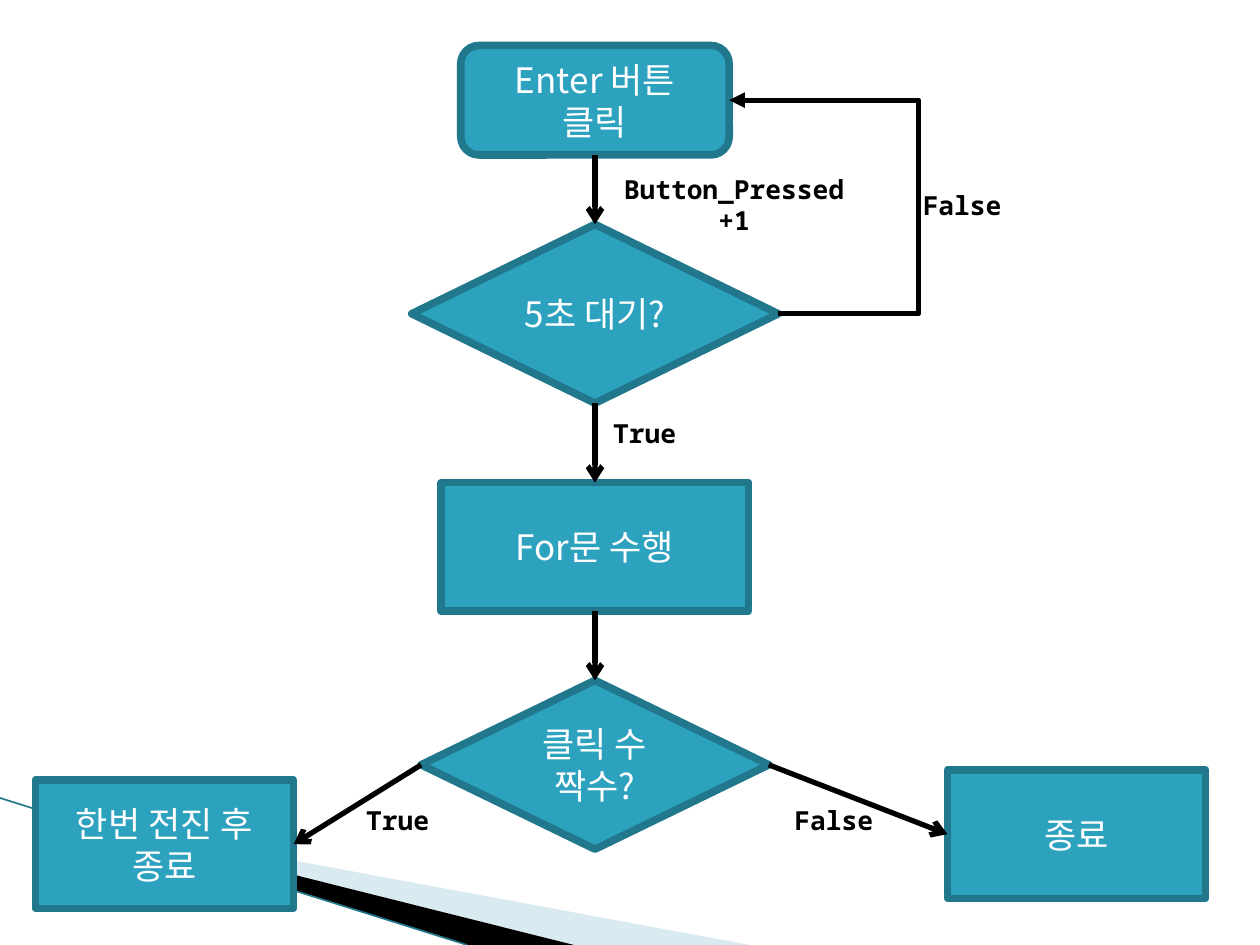
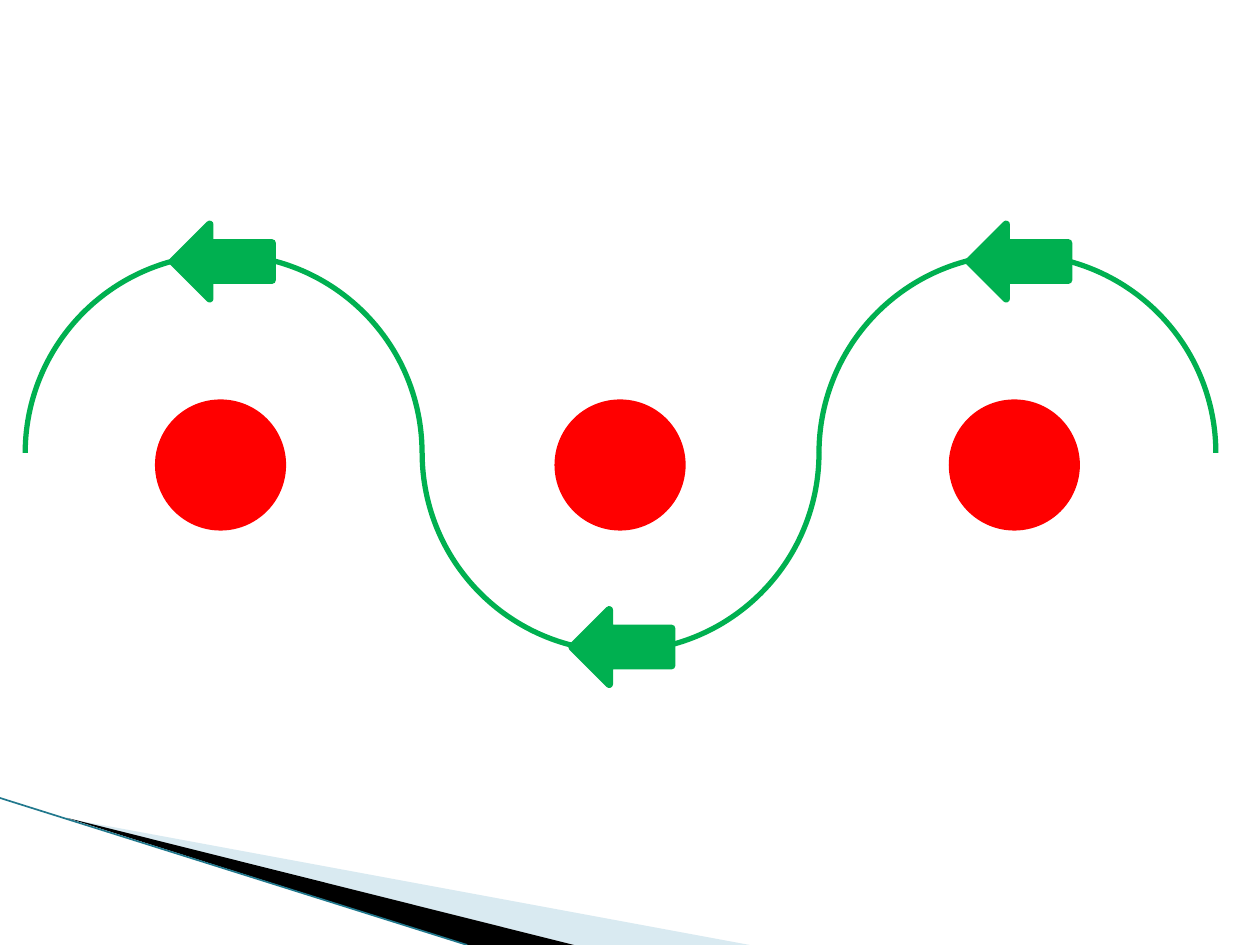
from lxml.etree import SubElement
from pptx import Presentation
from pptx.dml.color import RGBColor
from pptx.enum.shapes import MSO_CONNECTOR, MSO_SHAPE
from pptx.enum.text import MSO_ANCHOR, PP_ALIGN
from pptx.oxml.ns import qn
from pptx.util import Pt

COLORS = {
    "node": "2DA2BF",
    "outline": "21788D",
    "mist": "A0CBDC",
    "black": "000000",
    "white": "FFFFFF",
    "obstacle": "FF0000",
    "route": "00B050",
}
NODE_FONT = "Noto Sans CJK KR"
LABEL_FONT = "Noto Sans Mono"
OUTLINE_WIDTH = 4.33
ROUTE_WIDTH = 3
TOP, LEFT, BOTTOM, RIGHT = range(4)  # connection sites of a shape


def style_shape(shape, fill=None, line=None, width=OUTLINE_WIDTH):
    """Set fill and outline by colour name; None means there is none."""
    shape.shadow.inherit = False
    if fill:
        shape.fill.solid()
        shape.fill.fore_color.rgb = RGBColor.from_string(COLORS[fill])
    else:
        shape.fill.background()
    if line:
        shape.line.color.rgb = RGBColor.from_string(COLORS[line])
        shape.line.width = Pt(width)
    else:
        shape.line.fill.background()


def write_text(shape, text, font, size, color, bold=False):
    """Write centred text, one paragraph for each line."""
    frame = shape.text_frame
    frame.word_wrap = True
    frame.vertical_anchor = MSO_ANCHOR.MIDDLE
    frame.margin_left = frame.margin_right = 0
    frame.text = text
    for para in frame.paragraphs:
        para.alignment = PP_ALIGN.CENTER
        para.font.name = font
        para.font.size = Pt(size)
        para.font.bold = bold
        para.font.color.rgb = RGBColor.from_string(COLORS[color])
        defaults = para._p.pPr.find(qn("a:defRPr"))
        SubElement(defaults, qn("a:ea"), typeface=font)


deck = Presentation()
deck.slide_width, deck.slide_height = Pt(720), Pt(540)

# Corner wedges and edge line shared by both slides
WEDGES = [
    ("mist", [(39.6, 468), (428.4, 540), (328, 540)]),
    ("black", [(38, 467.3), (328, 540), (267, 540)]),
]
for _ in range(2):
    page = deck.slides.add_slide(deck.slide_layouts[6])
    for color, points in WEDGES:
        corners = [(Pt(x), Pt(y)) for x, y in points]
        builder = page.shapes.build_freeform(*corners[0])
        builder.add_line_segments(corners[1:])
        wedge = builder.convert_to_shape()
        style_shape(wedge, color)
        if color == "mist":
            tint = wedge._element.spPr.find(qn("a:solidFill"))[0]
            SubElement(tint, qn("a:alpha"), val="40000")
    edge = page.shapes.add_connector(
        MSO_CONNECTOR.STRAIGHT, Pt(0), Pt(456), Pt(267), Pt(540))
    edge.line.color.rgb = RGBColor.from_string(COLORS["outline"])
    edge.line.width = Pt(0.95)
    SubElement(edge._element.spPr, qn("a:effectLst"))
flow_page, route_page = deck.slides

# Flow chart: labels, nodes, arrows
LABELS = [
    ("False", 405.4, 457.2),
    ("True", 156.2, 457.2),
    ("False", 478.8, 105.8),
    ("True", 297.4, 236.2),
    ("Button_Pressed +1", 348.5, 105.8),
]
for text, left, top in LABELS:
    label = flow_page.shapes.add_textbox(Pt(left), Pt(top), Pt(142), Pt(22.3))
    write_text(label, text, LABEL_FONT, 15, "black", bold=True)

# name: preset, centre x, top, width, height, text
COLUMN = 340
NODES = {
    "click": (MSO_SHAPE.ROUNDED_RECTANGLE, COLUMN, 26, 153.4, 62.6, "Enter 버튼\n클릭"),
    "wait": (MSO_SHAPE.FLOWCHART_DECISION, COLUMN, 128.2, 209.5, 102.2, "5초 대기?"),
    "loop": (MSO_SHAPE.RECTANGLE, COLUMN, 275.8, 175.7, 73.4, "For문 수행"),
    "parity": (MSO_SHAPE.FLOWCHART_DECISION, COLUMN, 388.8, 198.7, 96.5, "클릭 수\n짝수?"),
    "forward": (MSO_SHAPE.RECTANGLE, 94, 445.7, 147.6, 73.4, "한번 전진 후\n종료"),
    "end": (MSO_SHAPE.RECTANGLE, 615.2, 440, 147.6, 73.4, "종료"),
}
nodes = {}
for name, (preset, center, top, width, height, text) in NODES.items():
    node = flow_page.shapes.add_shape(
        preset, Pt(center - width / 2), Pt(top), Pt(width), Pt(height))
    style_shape(node, "node", "outline")
    write_text(node, text, NODE_FONT, 20, "white")
    nodes[name] = node

ARROWS = [
    ("click", BOTTOM, "wait", TOP),
    ("wait", BOTTOM, "loop", TOP),
    ("loop", BOTTOM, "parity", TOP),
    ("parity", LEFT, "forward", RIGHT),
    ("parity", RIGHT, "end", LEFT),
    ("wait", RIGHT, "click", RIGHT),
]
RETURN_X = Pt(525)
for source, source_site, target, target_site in ARROWS:
    returns = source_site == target_site
    kind = MSO_CONNECTOR.ELBOW if returns else MSO_CONNECTOR.STRAIGHT
    arrow = flow_page.shapes.add_connector(kind, 0, 0, 0, 0)
    arrow.begin_connect(nodes[source], source_site)
    arrow.end_connect(nodes[target], target_site)
    arrow.line.color.rgb = RGBColor.from_string(COLORS["black"])
    arrow.line.width = Pt(3)
    properties = arrow._element.spPr
    SubElement(properties.find(qn("a:ln")), qn("a:tailEnd"),
               type="triangle" if returns else "arrow")
    SubElement(properties, qn("a:effectLst"))
    if returns:
        bend = (RETURN_X - arrow.begin_x) / (arrow.end_x - arrow.begin_x)
        adjustments = properties.find(qn("a:prstGeom")).find(qn("a:avLst"))
        SubElement(adjustments, qn("a:gd"), name="adj1",
                   fmla=f"val {round(bend * 100000)}")

# Slalom route around three obstacles
for left in (90.7, 319, 544.3):
    obstacle = route_page.shapes.add_shape(
        MSO_SHAPE.OVAL, Pt(left), Pt(230.4), Pt(70.6), Pt(70.6))
    style_shape(obstacle, "obstacle", "obstacle")

ARC_SIZE = 226.8
for turn, rotations in enumerate([(270, 0), (90, 180), (270, 0)]):
    for rotation in rotations:
        arc = route_page.shapes.add_shape(
            MSO_SHAPE.ARC, Pt(14.4 + turn * ARC_SIZE), Pt(145.4),
            Pt(ARC_SIZE), Pt(ARC_SIZE))
        arc.rotation = rotation
        style_shape(arc, line="route", width=ROUTE_WIDTH)

for left, top in [(98.6, 128.2), (326.9, 348.5), (553.7, 128.2)]:
    heading = route_page.shapes.add_shape(
        MSO_SHAPE.LEFT_ARROW, Pt(left), Pt(top), Pt(56.9), Pt(42.5))
    style_shape(heading, "route", "route")

deck.save("out.pptx")
